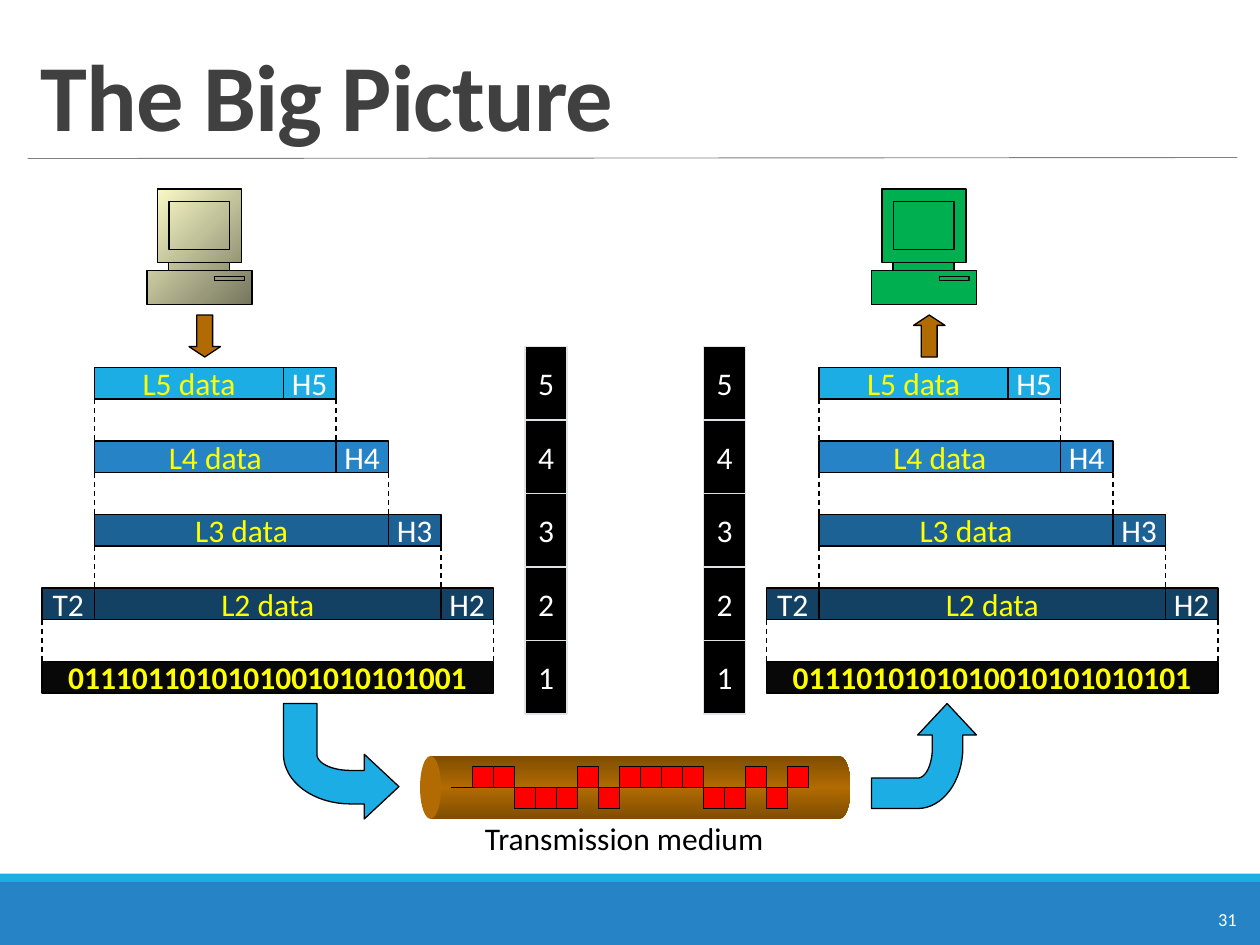
from collections import namedtuple
from copy import deepcopy
from math import cos, pi, sin

from lxml.etree import SubElement
from pptx import Presentation
from pptx.dml.color import RGBColor
from pptx.enum.dml import MSO_LINE
from pptx.enum.shapes import MSO_CONNECTOR, MSO_SHAPE
from pptx.enum.text import MSO_ANCHOR, PP_ALIGN
from pptx.oxml.ns import qn
from pptx.util import Inches, Pt

Box = namedtuple("Box", "left top width height")
COLUMNS, ROWS = 120, 90
LAYER_STEP, BAR_HEIGHT, HEADER_WIDTH, TRAILER_WIDTH = 7, 3, 5, 5
LAYERS = [("5", 18, "1CADE4"), ("4", 23, "2683C6"), ("3", 28, "1D6294"), ("2", 33, "134163")]
SIGNAL = "1100010111100101"
COMPUTER_OUTLINES = [
    [(7.8, 7.8), (7.8, 7), (9, 7), (9, 0), (1, 0), (1, 7), (2.05, 7), (2.05, 7.8),
     (0, 7.8), (0, 11), (10, 11), (10, 7.8)],
    [(2.05, 7.8), (2.05, 7), (7.85, 7), (7.85, 7.8)],
    [(2.1, 5.8), (2.1, 1.2), (7.85, 1.2), (7.85, 5.8)],
    [(6.45, 8.7), (6.45, 8.35), (9.3, 8.35), (9.3, 8.7)],
]


def grid(units):
    """Convert grid columns or rows to a length."""
    return Inches(units / 12)


def within(box, left, top, width, height):
    """Return a box placed relative to the corner of another."""
    return Box(box.left + left, box.top + top, width, height)


def colour(value):
    """Turn a hex string into a colour."""
    return RGBColor.from_string(value)


def shade(shape, stops, angle):
    """Fill a shape with evenly spaced gradient stops."""
    shape.fill.gradient()
    gradient = shape._element.spPr.find(qn("a:gradFill"))
    stop_list = gradient.find(qn("a:gsLst"))
    for stop in list(stop_list):
        stop_list.remove(stop)
    for index, value in enumerate(stops):
        stop = SubElement(stop_list, qn("a:gs"), pos=str(index * 100000 // (len(stops) - 1)))
        SubElement(stop, qn("a:srgbClr"), val=value)
    gradient.find(qn("a:lin")).set("ang", str(angle * 60000))


def finish(shape, fill, line="000000", angle=45):
    """Set the fill and outline of a shape and remove its shadow."""
    shape.shadow.inherit = False
    if isinstance(fill, str):
        shape.fill.solid()
        shape.fill.fore_color.rgb = colour(fill)
    else:
        shade(shape, fill, angle)
    if line:
        shape.line.color.rgb = colour(line)
        shape.line.width = Pt(0.75)
    else:
        shape.line.fill.background()
    return shape


def add_block(shapes, box, fill, kind=MSO_SHAPE.RECTANGLE, line="000000", angle=45):
    """Add a preset shape in a box."""
    return finish(shapes.add_shape(kind, *map(grid, box)), fill, line, angle)


def write(shape, text, value, size=18, bold=False, align=PP_ALIGN.LEFT):
    """Write one unwrapped run of text in a shape."""
    frame = shape.text_frame
    frame.word_wrap = False
    para = frame.paragraphs[0]
    para.alignment = align
    span = para.add_run()
    span.text = text
    span.font.name, span.font.size, span.font.bold = "Calibri", Pt(size), bold
    span.font.color.rgb = colour(value)
    return span


def add_label(page, box, fill, text, value="FFFFFF", bold=False, line="000000"):
    """Add a filled rectangle with centred text."""
    shape = add_block(page.shapes, box, fill, line=line)
    shape.text_frame.vertical_anchor = MSO_ANCHOR.MIDDLE
    write(shape, text, value, bold=bold, align=PP_ALIGN.CENTER)


def add_line(page, start, end, value="000000", width=0.75, dash=None):
    """Add a straight line between two grid points."""
    line = page.shapes.add_connector(MSO_CONNECTOR.STRAIGHT, *map(grid, start + end))
    line.line.color.rgb = colour(value)
    line.line.width = Pt(width)
    if dash:
        line.line.dash_style = dash
    SubElement(line._element.spPr, qn("a:effectLst"))


def add_outline(page, box, outlines, fill):
    """Draw closed outlines as separately filled parts of one freeform."""
    contours = [[(grid(box.left + x), grid(box.top + y)) for x, y in points] for points in outlines]
    builder = page.shapes.build_freeform(*contours[0][0], scale=1.0)
    builder.add_line_segments(contours[0][1:], close=True)
    for points in contours[1:]:
        builder.move_to(*points[0])
        builder.add_line_segments(points[1:], close=True)
    shape = finish(builder.convert_to_shape(), fill)
    merged = next(shape._element.iter(qn("a:path")))
    commands = list(merged)
    empty = deepcopy(merged)
    for command in list(empty):
        empty.remove(command)
    for command in commands:
        if command.tag == qn("a:moveTo"):
            part = deepcopy(empty)
            merged.addprevious(part)
        part.append(command)
    merged.getparent().remove(merged)


def add_bend(page, box, rising=False):
    """Draw a curved arrow that turns right, or turns upward when rising."""
    turn = [pi / 2 * step / 16 for step in range(17)]
    outer = [(0.58 - 0.58 * sin(a), 0.44 + 0.43 * cos(a)) for a in turn]
    inner = [(0.58 - 0.29 * cos(a), 0.44 + 0.14 * sin(a)) for a in turn]
    points = [(1, 0.72), (0.7, 1), (0.7, 0.87), *outer, (0, 0), (0.29, 0),
              *inner, (0.7, 0.58), (0.7, 0.44)]
    if rising:
        points = [(y, 1 - x) for x, y in points]
    add_outline(page, box, [[(x * box.width, y * box.height) for x, y in points]], "1CADE4")


def add_host(page, box, bits, computer_fill, arrow):
    """Draw a computer above its encapsulated layers and bit stream."""
    add_outline(page, within(box, 10, 0, 10, 11), COMPUTER_OUTLINES, computer_fill)
    flow = add_block(page.shapes, within(box, 14, 12, 3, 4), "B26B02", arrow)
    flow.adjustments[0], flow.adjustments[1] = 0.5, 0.33
    for index, (layer, width, fill) in enumerate(LAYERS):
        top = 17 + index * LAYER_STEP
        left, right = TRAILER_WIDTH, TRAILER_WIDTH + width + HEADER_WIDTH
        add_label(page, within(box, left, top, width, BAR_HEIGHT), fill, f"L{layer} data", "FFFF00")
        add_label(page, within(box, left + width, top, HEADER_WIDTH, BAR_HEIGHT), fill, f"H{layer}")
        if layer == "2":
            left = 0
            add_label(page, within(box, left, top, TRAILER_WIDTH, BAR_HEIGHT), fill, "T2")
        for edge in (left, right):
            x, y = box.left + edge, box.top + top
            add_line(page, (x, y + BAR_HEIGHT), (x, y + LAYER_STEP), dash=MSO_LINE.DASH)
    bottom = 17 + len(LAYERS) * LAYER_STEP
    add_label(page, within(box, 0, bottom, box.width, BAR_HEIGHT), "080808", bits, "FFFF00", True)


def add_layer_numbers(page, box):
    """Stack the layer numbers from five down to one."""
    height = box.height / 5
    for index, number in enumerate("54321"):
        cell = within(box, 0, index * height, box.width, height)
        add_label(page, cell, "000000", number, line="DFE3E5")


def add_medium(page, box):
    """Draw the cable with its signal and caption."""
    cable = page.shapes.add_group_shape().shapes
    metal = ["7F4D01", "B26B02", "7F4D01"]
    end = box.width - 2
    add_block(cable, within(box, end, 0, 2, box.height), metal, MSO_SHAPE.OVAL, None, 90)
    add_block(cable, within(box, 1, 0, end, box.height), metal, line=None, angle=90)
    add_block(cable, within(box, 0, 0, 2, box.height), "B26B02", MSO_SHAPE.OVAL, None)
    middle = box.top + box.height / 2
    add_line(page, (box.left + 3, middle), (box.left + end + 1 - 3 - 0.0, middle))
    for index, bit in enumerate(SIGNAL):
        add_block(page.shapes, within(box, 5 + 2 * index, 1 if bit == "1" else 3, 2, 2), "FF0000")
    caption = page.shapes.add_textbox(*map(grid, within(box, 5, 5.4, 31.3, 4.8)))
    write(caption, "Transmission medium", "000000")


def add_frame(page, box):
    """Place the title, its rule, the footer bands and the page number."""
    add_block(page.shapes, within(box, 0, 84, box.width, 6), "2683C6", line=None)
    add_block(page.shapes, within(box, 0, 83.2, box.width, 0.8), "1CADE4", line=None)
    add_line(page, (2.64, 15.1), (117.84, 15), "808080", 0.5)
    number = page.shapes.add_textbox(*map(grid, within(box, 114.84, 85.9, 4.4, 3.4)))
    write(number, "31", "FFFFFF", 10.5)
    title = page.shapes.title
    title.left, title.top, title.width, title.height = map(grid, within(box, 2.64, 3, 115.2, 12))
    title.text_frame.vertical_anchor = MSO_ANCHOR.BOTTOM
    span = write(title, "The Big Picture", "404040", 54, True)
    span._r.get_or_add_rPr().set("spc", "-50")
    title.text_frame.paragraphs[0].line_spacing = 0.85


def main():
    """Build the slide and save the deck."""
    deck = Presentation()
    deck.slide_width, deck.slide_height = grid(COLUMNS), grid(ROWS)
    page = deck.slides.add_slide(deck.slide_layouts[5])
    add_frame(page, Box(0, 0, COLUMNS, ROWS))
    add_host(page, Box(4, 18, 43, 48), "0111011010101001010101001",
             ["FFFFCC", "76765E"], MSO_SHAPE.DOWN_ARROW)
    add_host(page, Box(73, 18, 43, 48), "0111010101010010101010101", "00B050", MSO_SHAPE.UP_ARROW)
    for left in (50, 67):
        add_layer_numbers(page, Box(left, 33, 4, 35))
    add_medium(page, Box(40, 72, 41, 6))
    add_bend(page, Box(27, 67, 11, 11))
    add_bend(page, Box(83, 67, 10, 10), rising=True)
    deck.save("out.pptx")


if __name__ == "__main__":
    main()
